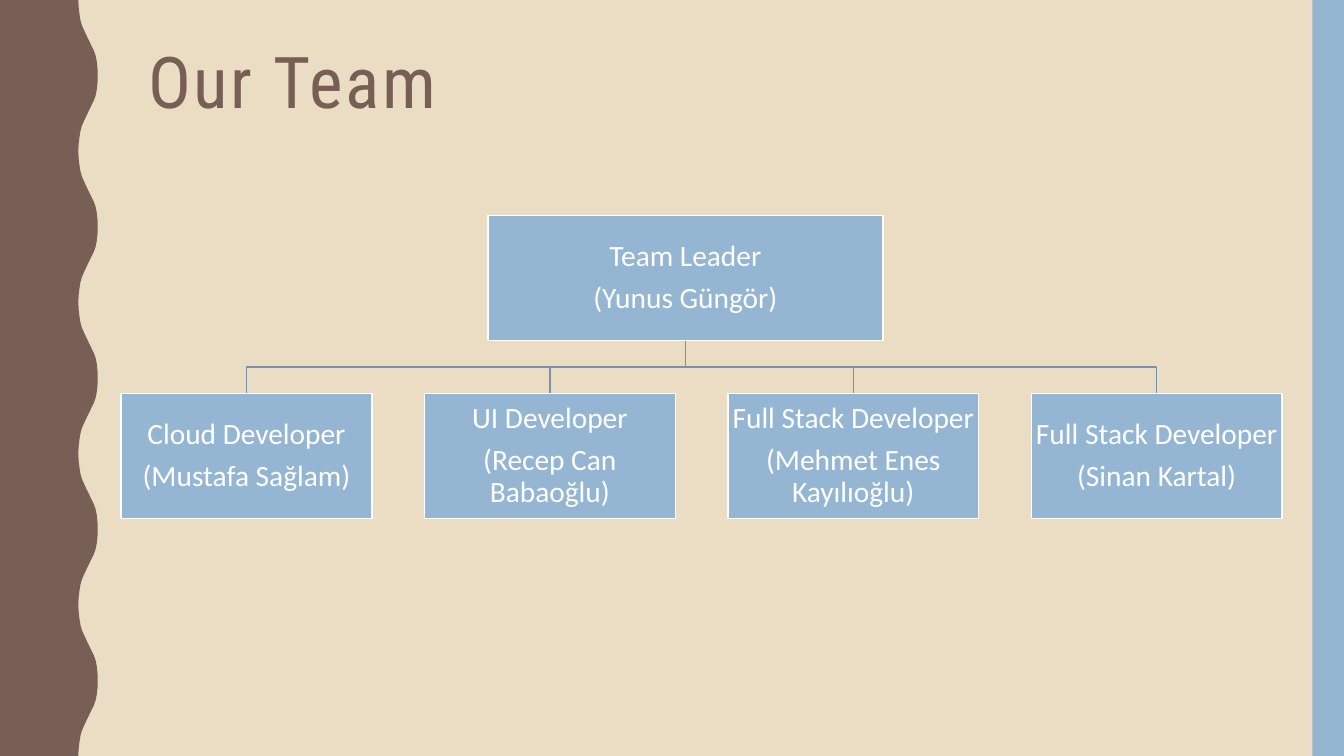
import pptx
import pptx.dml.color
import pptx.enum.shapes
import pptx.enum.text
import pptx.util
from dataclasses import dataclass

Pt = pptx.util.Pt
ALIGN = pptx.enum.text.PP_ALIGN
ANCHOR = pptx.enum.text.MSO_ANCHOR


@dataclass
class Theme:
    sand: str = "EBDDC3"
    brown: str = "775F55"
    blue: str = "94B6D2"
    branch: str = "7792A8"
    white: str = "FFFFFF"
    title_font: str = "Roboto Condensed"
    body_font: str = "Calibri"
    title_size: float = 51
    body_size: float = 21


def rgb(value):
    return pptx.dml.color.RGBColor.from_string(value)


def apply(target, values):
    for name, value in values.items():
        setattr(target, name, value)


class TeamSlide:
    def __init__(self, deck, theme):
        self.theme = theme
        self.slide = deck.slides.add_slide(deck.slide_layouts[5])
        self.paint(self.slide.background.fill, theme.sand)

    def paint(self, fill, color):
        fill.solid()
        fill.fore_color.rgb = rgb(color)

    def finish(self, shape, fill=None, line=None):
        shape.shadow.inherit = False
        if fill:
            self.paint(shape.fill, fill)
        else:
            shape.fill.background()
        if line:
            self.paint(shape.line.fill, line)
            shape.line.width = Pt(1)
        else:
            shape.line.fill.background()

    def set_text(self, frame, lines, frame_format, paragraph_format, font_format, color):
        apply(frame, frame_format)
        frame.text = "\n".join(lines)
        for paragraph in frame.paragraphs:
            apply(paragraph, paragraph_format)
            for run in paragraph.runs:
                apply(run.font, font_format)
                run.font.color.rgb = rgb(color)

    def title(self, text, left, top, width, height):
        heading = self.slide.shapes.title
        apply(heading, {"left": Pt(left), "top": Pt(top),
                        "width": Pt(width), "height": Pt(height)})
        self.set_text(
            heading.text_frame, [text],
            {"vertical_anchor": ANCHOR.TOP, "word_wrap": True,
             "auto_size": pptx.enum.text.MSO_AUTO_SIZE.NONE},
            {"alignment": ALIGN.LEFT, "line_spacing": 0.9},
            {"name": self.theme.title_font, "size": Pt(self.theme.title_size)},
            self.theme.brown)
        for run in heading.text_frame.paragraphs[0].runs:
            run.font._element.set("spc", "200")

    def panel(self, left, top, width, height, fill, line=None):
        panel = self.slide.shapes.add_shape(
            pptx.enum.shapes.MSO_SHAPE.RECTANGLE,
            Pt(left), Pt(top), Pt(width), Pt(height))
        self.finish(panel, fill, line)
        return panel

    def card(self, left, top, width, height, lines):
        card = self.panel(left, top, width, height, self.theme.blue, self.theme.white)
        inset = Pt(1)
        self.set_text(
            card.text_frame, lines,
            {"margin_left": inset, "margin_right": inset, "margin_top": inset,
             "margin_bottom": inset, "word_wrap": True,
             "vertical_anchor": ANCHOR.MIDDLE},
            {"alignment": ALIGN.CENTER, "line_spacing": 0.9, "space_after": Pt(7.35)},
            {"name": self.theme.body_font, "size": Pt(self.theme.body_size)},
            self.theme.white)

    def outline(self, points, fill=None, line=None):
        corners = [(Pt(x), Pt(y)) for x, y in points]
        builder = self.slide.shapes.build_freeform(*corners[0])
        builder.add_line_segments(corners[1:], close=bool(fill))
        self.finish(builder.convert_to_shape(), fill, line)


SLIDE_WIDTH, SLIDE_HEIGHT = 960, 540
WAVE_PERIOD = 108
RISING_WAVE = [
    (56, 0), (56.2, 5), (56.8, 10), (57.5, 14.4), (58.5, 18), (59.8, 21),
    (61.2, 24), (62.6, 27), (64.1, 30), (65.5, 33), (67, 36), (68.3, 39.6),
    (69.2, 44), (69.7, 49), (69.8, 54)]

CARD_HEIGHT = 89.4
LEADER_LEFT, LEADER_TOP, LEADER_WIDTH = 348.5, 153.9, 282.2
MEMBER_LEFT, MEMBER_TOP, MEMBER_WIDTH = 86.5, 281, 179.2
MEMBER_PITCH = 216.7

LEADER = ["Team Leader", "(Yunus Güngör)"]
MEMBERS = [
    ["Cloud Developer", "(Mustafa Sağlam)"],
    ["UI Developer", "(Recep Can Babaoğlu)"],
    ["Full Stack Developer", "(Mehmet Enes Kayılıoğlu)"],
    ["Full Stack Developer", "(Sinan Kartal)"],
]


def main():
    deck = pptx.Presentation()
    apply(deck, {"slide_width": Pt(SLIDE_WIDTH), "slide_height": Pt(SLIDE_HEIGHT)})
    theme = Theme()
    team = TeamSlide(deck, theme)

    falling_wave = [(x, WAVE_PERIOD - y) for x, y in reversed(RISING_WAVE[:-1])]
    wave = [(x, y + period * WAVE_PERIOD)
            for period in range(SLIDE_HEIGHT // WAVE_PERIOD)
            for x, y in RISING_WAVE + falling_wave[:-1]]
    team.outline([(0, 0), *wave, (RISING_WAVE[0][0], SLIDE_HEIGHT), (0, SLIDE_HEIGHT)],
                 fill=theme.brown)
    team.panel(937.5, 0, 22.5, SLIDE_HEIGHT, theme.blue)
    team.title("Our Team", 98.6, 30.2, 801.4, 117.4)

    leader_center = LEADER_LEFT + LEADER_WIDTH / 2
    leader_bottom = LEADER_TOP + CARD_HEIGHT
    branch_level = (leader_bottom + MEMBER_TOP) / 2
    member_lefts = [MEMBER_LEFT + i * MEMBER_PITCH for i in range(len(MEMBERS))]
    for left in member_lefts:
        member_center = left + MEMBER_WIDTH / 2
        team.outline([(leader_center, leader_bottom), (leader_center, branch_level),
                      (member_center, branch_level), (member_center, MEMBER_TOP)],
                     line=theme.branch)

    team.card(LEADER_LEFT, LEADER_TOP, LEADER_WIDTH, CARD_HEIGHT, LEADER)
    for left, member in zip(member_lefts, MEMBERS):
        team.card(left, MEMBER_TOP, MEMBER_WIDTH, CARD_HEIGHT, member)

    deck.save("out.pptx")


if __name__ == "__main__":
    main()
